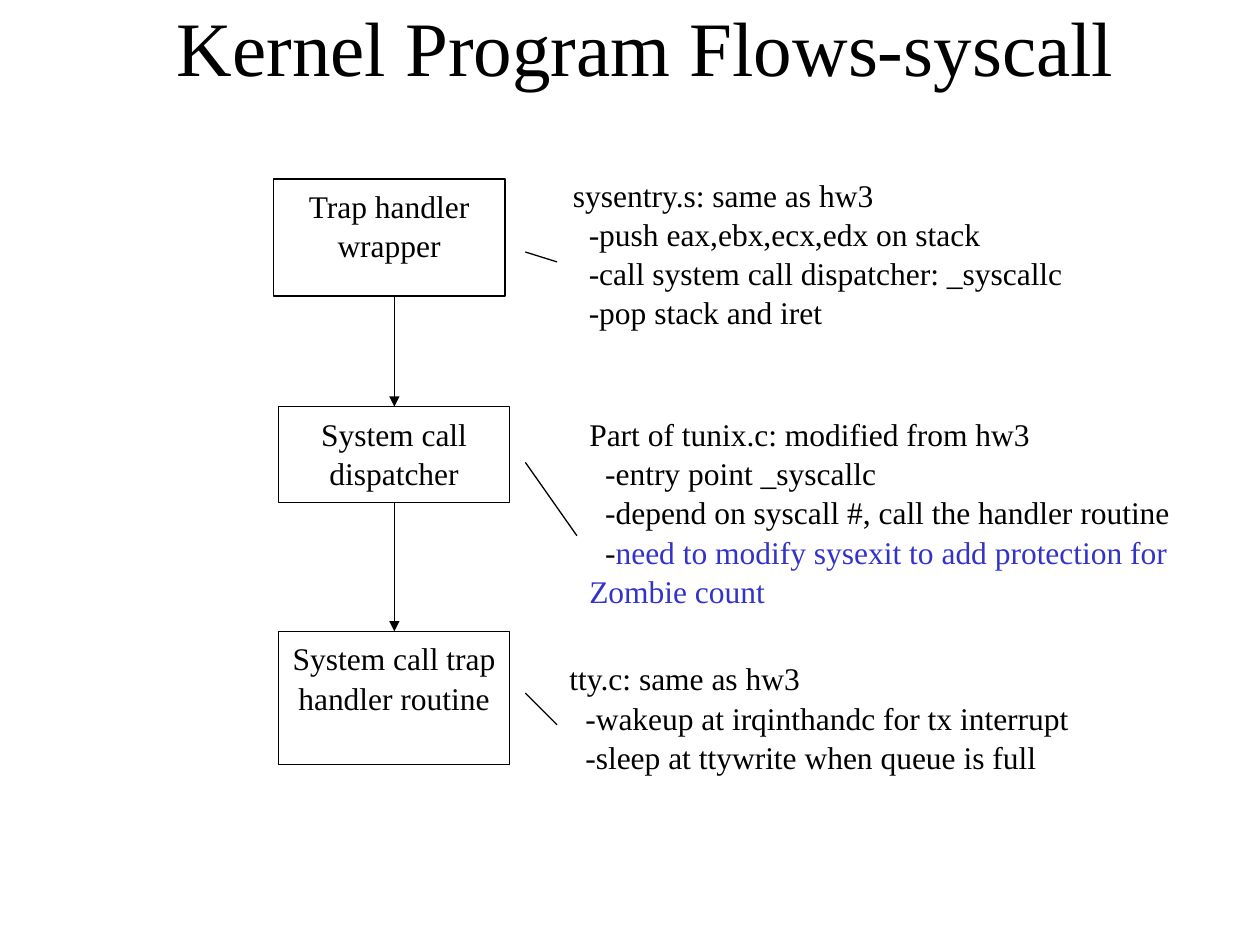
"""Build the slide showing how a system call flows through the kernel."""
from dataclasses import dataclass

import pptx
import pptx.dml.color
import pptx.enum.shapes
import pptx.enum.text
import pptx.oxml
import pptx.oxml.ns
import pptx.util
from pptx.util import Cm

COLORS = {"text": "000000", "line": "000000", "fill": "FFFFFF", "accent": "3333CC"}
FONT = "Times New Roman"
ALIGN = pptx.enum.text.PP_ALIGN
BODY = {"name": FONT, "size": pptx.util.Pt(18)}
TITLE = {"name": FONT, "size": pptx.util.Pt(44)}
FRAME = {
    "word_wrap": True,
    "vertical_anchor": pptx.enum.text.MSO_ANCHOR.TOP,
    "margin_left": Cm(0.25),
    "margin_right": Cm(0.25),
    "margin_top": Cm(0.13),
    "margin_bottom": Cm(0.13),
}
TITLE_FRAME = {**FRAME, "margin_top": 0, "margin_bottom": 0}
BOX_WIDTH = 4.67
ARROW_X = 7.95
LEADER_X = 10.59


@dataclass
class Area:
    left: float
    top: float
    width: float
    height: float

    def lengths(self) -> list:
        return [Cm(value) for value in (self.left, self.top, self.width, self.height)]


@dataclass
class Stage:
    label: str
    box: Area
    note: Area
    heading: str
    details: list[str]
    leader_start: float
    leader_end: tuple[float, float]
    highlight: str = ""


STAGES = [
    Stage("Trap handler wrapper", Area(5.51, 3.61, BOX_WIDTH, 2.36),
          Area(11.3, 3.38, 11.35, 3.33), "sysentry.s: same as hw3",
          ["-push eax,ebx,ecx,edx on stack",
           "-call system call dispatcher: _syscallc",
           "-pop stack and iret"], 5.08, (11.23, 5.28)),
    Stage("System call dispatcher", Area(5.61, 8.2, BOX_WIDTH, 1.93),
          Area(11.63, 8.2, 12.5, 4.5), "Part of tunix.c: modified from hw3",
          ["-entry point _syscallc",
           "-depend on syscall #, call the handler routine",
           "-"], 9.32, (11.63, 10.8),
          "need to modify sysexit to add protection for Zombie count"),
    Stage("System call trap handler routine", Area(5.61, 12.73, BOX_WIDTH, 2.69),
          Area(11.23, 13.13, 13.54, 3.38), "tty.c: same as hw3",
          ["-wakeup at irqinthandc for tx interrupt",
           "-sleep at ttywrite when queue is full"], 13.97, (11.23, 14.61)),
]


def rgb(name: str) -> pptx.dml.color.RGBColor:
    return pptx.dml.color.RGBColor.from_string(COLORS[name])


def apply(target, values: dict) -> None:
    for name, value in values.items():
        setattr(target, name, value)


def add_run(paragraph, text: str, font: dict, color: str = "text") -> None:
    run = paragraph.add_run()
    run.text = text
    apply(run.font, font)
    run.font.color.rgb = rgb(color)


def add_rectangle(slide, area: Area, outlined: bool):
    shape = slide.shapes.add_shape(
        pptx.enum.shapes.MSO_SHAPE.RECTANGLE, *area.lengths())
    shape.shadow.inherit = False
    shape.fill.solid()
    shape.fill.fore_color.rgb = rgb("fill")
    if outlined:
        shape.line.color.rgb = rgb("line")
        shape.line.width = pptx.util.Pt(0.75)
    else:
        shape.line.fill.background()
    apply(shape.text_frame, FRAME)
    return shape


def add_box(slide, stage: Stage) -> None:
    shape = add_rectangle(slide, stage.box, True)
    paragraph = shape.text_frame.paragraphs[0]
    apply(paragraph, {"alignment": ALIGN.CENTER, "line_spacing": 1.04})
    add_run(paragraph, stage.label, BODY)


def add_note(slide, stage: Stage) -> None:
    frame = add_rectangle(slide, stage.note, False).text_frame
    for index, text in enumerate([stage.heading, *stage.details]):
        paragraph = frame.add_paragraph() if index else frame.paragraphs[0]
        apply(paragraph, {"alignment": ALIGN.LEFT, "line_spacing": 1.04})
        if index:
            paragraph._p.get_or_add_pPr().set("indent", str(Cm(0.32)))
        add_run(paragraph, text, BODY)
    if stage.highlight:
        add_run(paragraph, stage.highlight, BODY, "accent")


def add_line(slide, start: tuple, end: tuple, arrow: bool = False) -> None:
    connector = slide.shapes.add_connector(
        pptx.enum.shapes.MSO_CONNECTOR.STRAIGHT,
        *[Cm(value) for value in (*start, *end)])
    connector.line.color.rgb = rgb("line")
    connector.line.width = pptx.util.Pt(0.75)
    if arrow:
        tail = pptx.oxml.parse_xml(
            f'<a:tailEnd {pptx.oxml.ns.nsdecls("a")} type="triangle"/>')
        connector.line._get_or_add_ln().append(tail)
    connector._element.spPr.append(
        pptx.oxml.parse_xml(f'<a:effectLst {pptx.oxml.ns.nsdecls("a")}/>'))


def add_title(slide, text: str) -> None:
    shape = slide.shapes.add_textbox(*Area(1.9, 0, 22.23, 1.47).lengths())
    apply(shape.text_frame, TITLE_FRAME)
    paragraph = shape.text_frame.paragraphs[0]
    paragraph.alignment = ALIGN.CENTER
    add_run(paragraph, text, TITLE)


def main() -> None:
    presentation = pptx.Presentation()
    apply(presentation, {"slide_width": Cm(25.4), "slide_height": Cm(19.05)})
    slide = presentation.slides.add_slide(presentation.slide_layouts[6])
    add_title(slide, "Kernel Program Flows-syscall")
    for stage in STAGES:
        add_box(slide, stage)
        add_note(slide, stage)
        add_line(slide, (LEADER_X, stage.leader_start), stage.leader_end)
    for upper, lower in zip(STAGES, STAGES[1:]):
        bottom = upper.box.top + upper.box.height
        add_line(slide, (ARROW_X, bottom), (ARROW_X, lower.box.top), arrow=True)
    presentation.save("out.pptx")


if __name__ == "__main__":
    main()
